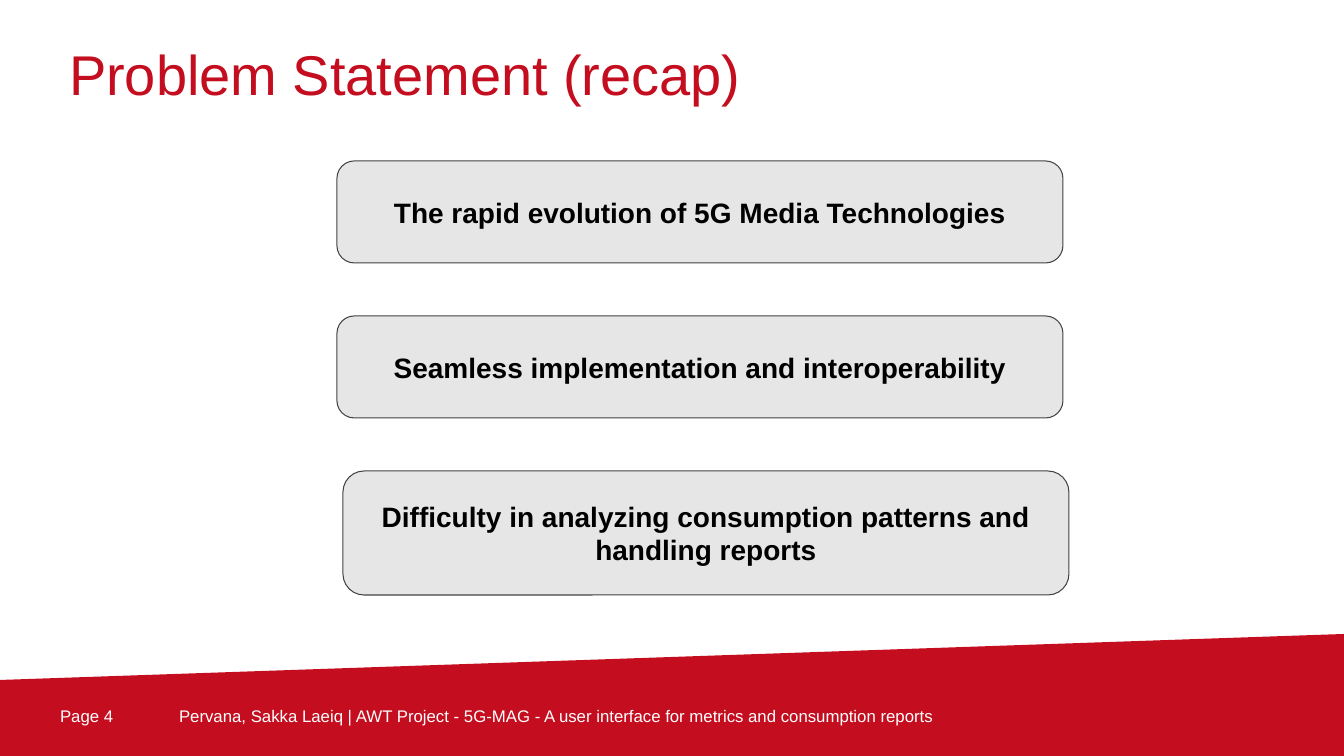
from pptx import Presentation
from pptx import util as u
from pptx.dml.color import RGBColor
from pptx.enum import shapes, text

RED, WHITE, BLACK, GREY, OUTLINE = "C40D1E", "FFFFFF", "000000", "E7E6E6", "434343"
SLIDE = (1344, 756)
TITLE = ("Problem Statement (recap)", (69, 29, 1122, 78))
PROBLEMS = [
    ("The rapid evolution of 5G Media Technologies", 337, 102),
    ("Seamless implementation and interoperability", 337, 102),
    ("Difficulty in analyzing consumption patterns and handling reports", 343, 124),
]
PROBLEM_TOP, PROBLEM_PITCH, PROBLEM_WIDTH, PROBLEM_INSET = 161, 155, 726, 10
BAND = [(0, 680), (1344, 634), (1344, 756), (0, 756)]
FOOTER = [
    ("Page 4", (60, 706, 119, 20)),
    ("Pervana, Sakka Laeiq |\u00a0AWT Project - 5G-MAG - A user interface for metrics and consumption reports".replace("\u00a0", " "),
     (179, 706, 840, 20)),
]


def px(length):
    return u.Emu(round(length * 914400 / 100.8))


def color(value):
    return RGBColor.from_string(value)


def write(box, words, size, ink, bold=False, align=text.PP_ALIGN.LEFT,
          anchor=text.MSO_ANCHOR.MIDDLE, inset=0, spacing=None):
    frame = box.text_frame
    frame.word_wrap = True
    frame.auto_size = text.MSO_AUTO_SIZE.NONE
    frame.vertical_anchor = anchor
    frame.margin_left = frame.margin_right = px(inset)
    frame.margin_top = frame.margin_bottom = px(inset)
    para = frame.paragraphs[0]
    para.alignment = align
    if spacing:
        para.line_spacing = spacing
    span = para.add_run()
    span.text = words
    span.font.name = "Arial"
    span.font.size = u.Pt(size)
    span.font.bold = bold
    span.font.color.rgb = color(ink)


def paint(shape, fill, line=None):
    shape.shadow.inherit = False
    shape.fill.solid()
    shape.fill.fore_color.rgb = color(fill)
    if line:
        shape.line.color.rgb = color(line)
        shape.line.width = u.Pt(0.75)
    else:
        shape.line.fill.background()


def main():
    deck = Presentation()
    deck.slide_width, deck.slide_height = map(px, SLIDE)
    page = deck.slides.add_slide(deck.slide_layouts[5])

    words, place = TITLE
    title = page.shapes.title
    title.left, title.top, title.width, title.height = map(px, place)
    write(title, words, 40, RED, anchor=text.MSO_ANCHOR.BOTTOM, spacing=1.17)

    outline = page.shapes.build_freeform(*map(px, BAND[0]), scale=1.0)
    outline.add_line_segments([(px(x), px(y)) for x, y in BAND[1:]], close=True)
    paint(outline.convert_to_shape(), RED)

    for words, place in FOOTER:
        write(page.shapes.add_textbox(*map(px, place)), words, 12, WHITE)

    for row, (words, left, height) in enumerate(PROBLEMS):
        place = (left, PROBLEM_TOP + row * PROBLEM_PITCH, PROBLEM_WIDTH, height)
        card = page.shapes.add_shape(shapes.MSO_SHAPE.ROUNDED_RECTANGLE, *map(px, place))
        card.adjustments[0] = 0.17
        paint(card, GREY, OUTLINE)
        write(card, words, 20, BLACK, bold=True, align=text.PP_ALIGN.CENTER, inset=PROBLEM_INSET)

    deck.save("out.pptx")


if __name__ == "__main__":
    main()
